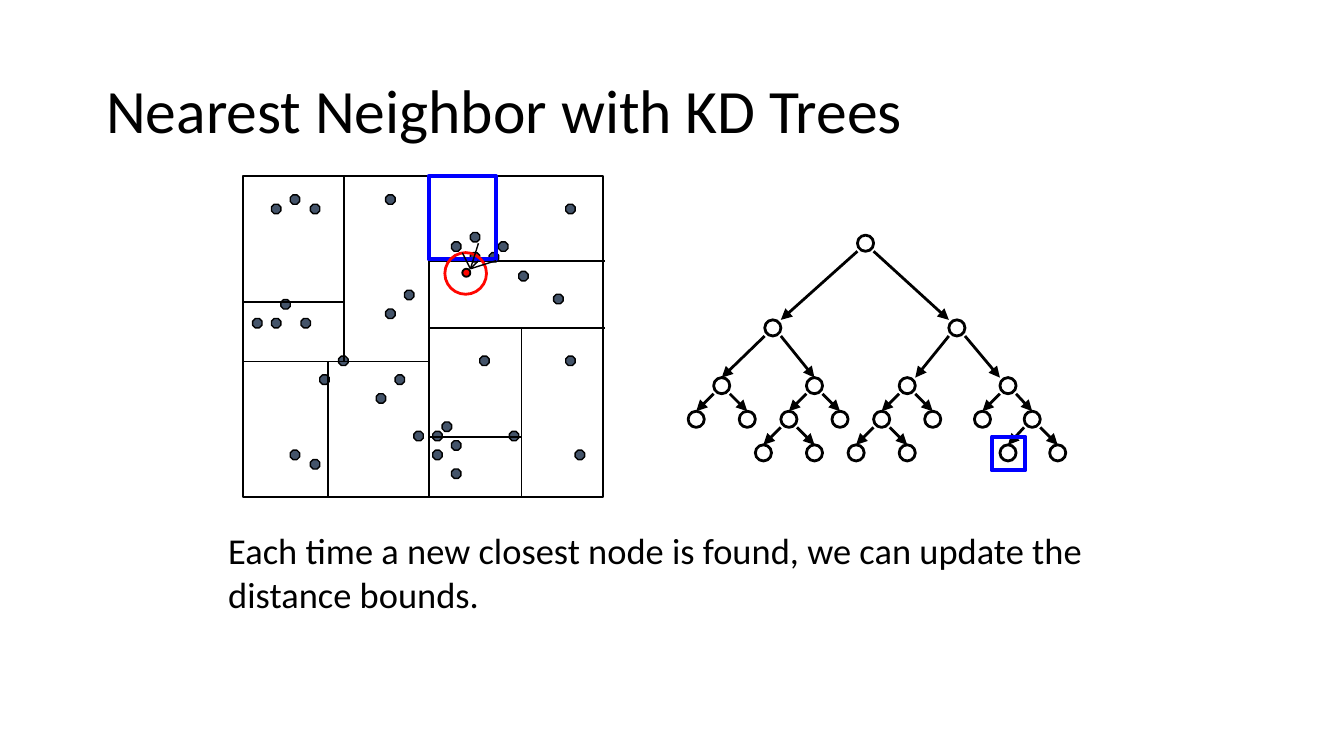
from lxml import etree
from pptx import Presentation
from pptx.dml.color import RGBColor
from pptx.enum.shapes import MSO_CONNECTOR as CONNECTOR, MSO_SHAPE as SHAPE
from pptx.enum.text import MSO_ANCHOR as ANCHOR, PP_ALIGN as ALIGN
from pptx.oxml.ns import qn
from pptx.util import Inches, Pt


def add_outline(kind, left, top, width, height, line, points, fill=None):
    shape = slide.shapes.add_shape(kind, Inches(left), Inches(top), Inches(width), Inches(height))
    shape.shadow.inherit = False
    shape.line.color.rgb = RGBColor.from_string(line)
    shape.line.width = Pt(points)
    if fill:
        shape.fill.solid()
        shape.fill.fore_color.rgb = RGBColor.from_string(fill)
    else:
        shape.fill.background()
    return shape


def add_line(x1, y1, x2, y2, points, arrow=False):
    connector = slide.shapes.add_connector(
        CONNECTOR.STRAIGHT, Inches(x1), Inches(y1), Inches(x2), Inches(y2))
    connector.line.color.rgb = RGBColor.from_string(BLACK)
    connector.line.width = Pt(points)
    properties = connector._element.spPr
    if arrow:
        etree.SubElement(properties.find(qn("a:ln")), qn("a:tailEnd"), type="triangle")
    etree.SubElement(properties, qn("a:effectLst"))


BLACK, SLATE, RED, BLUE = "000000", "44546A", "FF0600", "0000FF"

presentation = Presentation()
presentation.slide_width = Inches(10)
presentation.slide_height = Inches(10) * 9 // 16
slide = presentation.slides.add_slide(presentation.slide_layouts[5])

title = slide.shapes.title
title.left, title.top, title.width, title.height = (
    Inches(0.69), Inches(0.3), Inches(8.62), Inches(1.09))
caption = slide.shapes.add_textbox(Inches(1.6), Inches(3.88), Inches(6.96), Inches(0.76))
texts = [
    (title, "Nearest Neighbor with KD Trees", 33, 0.9, ANCHOR.MIDDLE),
    (caption, "Each time a new closest node is found, we can update the distance bounds.",
     19.5, 1, ANCHOR.TOP),
]
for shape, text, size, spacing, anchor in texts:
    frame = shape.text_frame
    frame.word_wrap = True
    frame.vertical_anchor = anchor
    paragraph = frame.paragraphs[0]
    paragraph.alignment = ALIGN.LEFT
    paragraph.line_spacing = spacing
    run = paragraph.add_run()
    run.text = text
    run.font.name = "Calibri"
    run.font.size = Pt(size)
    run.font.color.rgb = RGBColor.from_string(BLACK)

data_points = [
    (2.09, 2.23), (2.24, 2.37), (2.02, 2.37), (3.36, 1.8), (1.88, 2.37), (3.29, 3.14),
    (3.22, 3.21), (3.86, 2.02), (3.5, 1.88), (3.08, 3.21), (3.22, 3.35), (3.36, 3.49),
    (3.36, 3.28), (4.21, 2.65), (2.87, 2.3), (2.94, 2.79), (3.57, 2.65), (2.31, 3.42),
    (2.38, 2.79), (3.5, 1.73), (3.64, 1.88), (3.71, 1.8), (3.79, 3.21), (2.16, 3.35),
    (2.52, 2.65), (3.01, 2.16), (2.8, 2.93), (2.31, 1.52), (2.16, 1.45), (2.02, 1.52),
    (2.87, 1.45), (4.21, 1.52), (4.28, 3.35), (4.12, 2.19),
]
for left, top in data_points:
    dot = add_outline(SHAPE.OCTAGON, left, top, 0.07, 0.07, BLACK, 0.75, SLATE)
    dot.adjustments[0] = 0.29

add_outline(SHAPE.RECTANGLE, 1.81, 1.31, 2.68, 2.39, BLACK, 1)
splits = [
    (3.19, 1.31, 3.19, 3.69), (3.19, 2.44, 4.5, 2.44), (3.88, 2.44, 3.88, 3.69),
    (3.19, 3.25, 3.88, 3.25), (1.81, 2.69, 3.19, 2.69), (2.56, 2.69, 2.56, 1.31),
    (3.19, 1.94, 4.5, 1.94), (3.69, 1.31, 3.69, 1.94), (2.44, 2.69, 2.44, 3.69),
    (1.81, 2.25, 2.56, 2.25),
]
for split in splits:
    add_line(*split, 1)

NODE = 0.12
RADIUS = NODE / 2
level_tops = [1.75, 2.38, 2.81, 3.06, 3.31]
node_lefts = [
    [6.38],
    [5.69, 7.06],
    [5.31, 6, 6.69, 7.44],
    [5.12, 5.5, 5.81, 6.19, 6.5, 6.88, 7.25, 7.62],
    [5.62, 6, 6.31, 6.69, 7.44, 7.81],
]
for top, lefts in zip(level_tops, node_lefts):
    for left in lefts:
        add_outline(SHAPE.OVAL, left, top, NODE, NODE, BLACK, 1.5)

branches = [
    (0, 6.38, 5.69, 7.06, RADIUS),
    (1, 5.69, 5.31, 6, 0),
    (1, 7.06, 6.69, 7.44, RADIUS),
    (2, 5.31, 5.12, 5.5, 0),
    (2, 6, 5.81, 6.19, 0),
    (2, 6.69, 6.5, 6.88, 0),
    (2, 7.44, 7.25, 7.62, 0),
    (3, 5.81, 5.62, 6, 0),
    (3, 6.5, 6.31, 6.69, 0),
    (3, 7.62, 7.44, 7.81, 0),
]
for level, parent, left_child, right_child, tip_inset in branches:
    start, end = level_tops[level] + NODE, level_tops[level + 1]
    add_line(parent, start, left_child + RADIUS + tip_inset, end, 1.5, arrow=True)
    add_line(parent + NODE, start, right_child + RADIUS - tip_inset, end, 1.5, arrow=True)

add_outline(SHAPE.OVAL, 3.44, 2, 0.06, 0.06, BLACK, 1, RED)
add_outline(SHAPE.RECTANGLE, 3.19, 1.31, 0.5, 0.62, BLUE, 2.25)
add_outline(SHAPE.RECTANGLE, 7.38, 3.25, 0.25, 0.25, BLUE, 2.25)
add_outline(SHAPE.OVAL, 3.31, 1.88, 0.31, 0.31, RED, 1.5)
for x, y in [(3.44, 1.88), (3.56, 1.94), (3.56, 1.81), (3.69, 1.94)]:
    add_line(3.5, 2, x, y, 0.75)

presentation.save("out.pptx")
